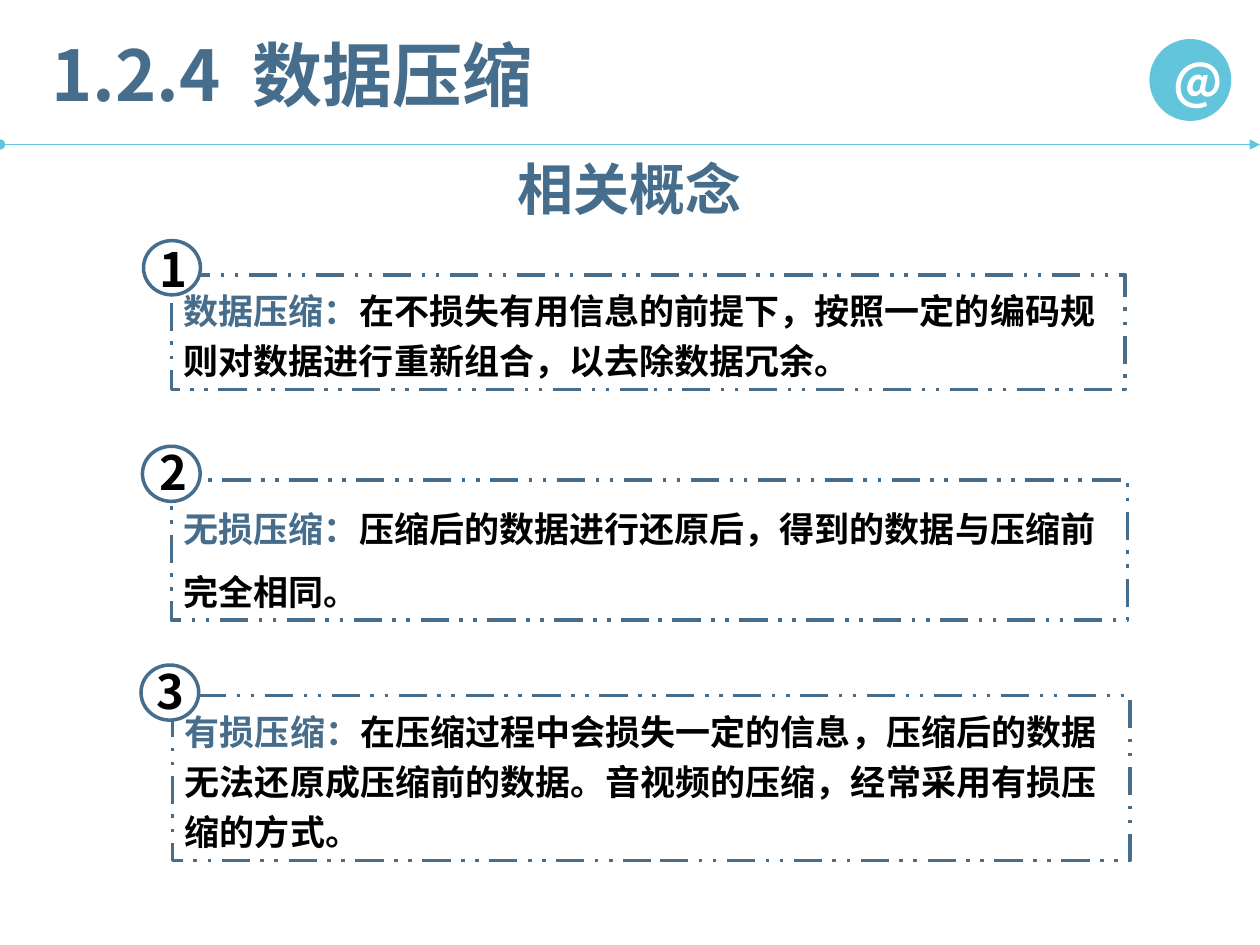
from dataclasses import dataclass

from lxml.etree import SubElement
from pptx import Presentation
from pptx.dml.color import RGBColor
from pptx.enum.dml import MSO_LINE
from pptx.enum.shapes import MSO_CONNECTOR, MSO_SHAPE
from pptx.enum.text import MSO_ANCHOR, MSO_AUTO_SIZE, PP_ALIGN
from pptx.oxml.ns import qn
from pptx.util import Pt

FONT = "Noto Sans CJK SC"
SLATE, CYAN, BLACK, WHITE = "466E8C", "62C5DC", "000000", "FFFFFF"


@dataclass
class Concept:
    box: tuple[float, float, float, float]
    badge: tuple[float, float, float, float]
    number_at: tuple[float, float]
    spacing: float
    term: str
    meaning: str


CONCEPTS = [
    Concept((97.9, 157, 545, 65.5), (82, 137.5, 32.5, 31), (84.2, 134), 1.2,
            "数据压缩：",
            "在不损失有用信息的前提下，按照一定的编码规则对数据进行重新组合，以去除数据冗余。"),
    Concept((97.9, 274.3, 546.5, 80), (81.4, 255, 33, 31.5), (84.2, 250), 1.5,
            "无损压缩：",
            "压缩后的数据进行还原后，得到的数据与压缩前完全相同。"),
    Concept((98.6, 397.4, 547.2, 94.3), (80.6, 380, 33, 31.5), (82.1, 375), 1.2,
            "有损压缩：",
            "在压缩过程中会损失一定的信息，压缩后的数据无法还原成压缩前的数据。"
            "音视频的压缩，经常采用有损压缩的方式。"),
]


def rgb(value: str) -> RGBColor:
    return RGBColor.from_string(value)


def set_font(font, size: float, color: str | None = None) -> None:
    font.name, font.size, font.bold = FONT, Pt(size), True
    if color:
        font.color.rgb = rgb(color)


def add_run(p, text: str, color: str):
    r = p.add_run()
    r.text = text
    r.font.color.rgb = rgb(color)
    return r


def add_shape(shapes, kind, at, fill: str | None = None, line: str | None = None):
    sp = shapes.add_shape(kind, *map(Pt, at))
    sp.shadow.inherit = False
    if fill:
        sp.fill.solid()
        sp.fill.fore_color.rgb = rgb(fill)
    else:
        sp.fill.background()
    if line:
        sp.line.color.rgb = rgb(line)
        sp.line.width = Pt(2)
    else:
        sp.line.fill.background()
    return sp


def add_text(shapes, at, text: str, size: float, color: str,
             align=PP_ALIGN.LEFT, wrap: bool = True, grow: bool = True):
    sp = shapes.add_textbox(*map(Pt, at))
    tf = sp.text_frame
    tf.word_wrap = wrap
    tf.auto_size = MSO_AUTO_SIZE.SHAPE_TO_FIT_TEXT if grow else MSO_AUTO_SIZE.NONE
    p = tf.paragraphs[0]
    p.text = text
    p.alignment = align
    set_font(p.font, size, color)
    return p


def add_concept(s, number: int, c: Concept) -> None:
    shapes = s.shapes.add_group_shape().shapes

    # Dashed box with term and meaning
    box = add_shape(shapes, MSO_SHAPE.RECTANGLE, c.box, line=SLATE)
    box.line.dash_style = MSO_LINE.DASH_DOT_DOT
    tf = box.text_frame
    tf.word_wrap = True
    tf.auto_size = MSO_AUTO_SIZE.SHAPE_TO_FIT_TEXT
    tf.vertical_anchor = MSO_ANCHOR.TOP
    p = tf.paragraphs[0]
    p.alignment = PP_ALIGN.LEFT
    p.line_spacing = c.spacing
    set_font(p.font, 20)
    add_run(p, c.term, SLATE)
    add_run(p, c.meaning, BLACK)

    # Numbered badge
    add_shape(shapes, MSO_SHAPE.OVAL, c.badge, WHITE, SLATE)
    add_text(shapes, (*c.number_at, 28, 39.6), str(number), 27, BLACK,
             PP_ALIGN.CENTER, wrap=False)


def add_rule(s, y: float) -> None:
    line = s.shapes.add_connector(MSO_CONNECTOR.STRAIGHT, Pt(0), Pt(y), Pt(720), Pt(y))
    line.line.color.rgb = rgb(CYAN)
    line.line.width = Pt(0.75)
    ln = line.line._get_or_add_ln()
    SubElement(ln, qn("a:headEnd"), type="oval")
    SubElement(ln, qn("a:tailEnd"), type="triangle")
    SubElement(line._element.spPr, qn("a:effectLst"))


def main() -> None:
    prs = Presentation()
    prs.slide_width, prs.slide_height = Pt(720), Pt(540)
    s = prs.slides.add_slide(prs.slide_layouts[6])

    # Header: the space after the section number is widened
    p = add_text(s.shapes, (22.3, 14.4, 469.4, 55.4), "1.2.4", 40, SLATE)
    gap = add_run(p, " ", SLATE)
    gap.font._element.set("spc", "900")
    add_run(p, "数据压缩", SLATE)
    add_rule(s, 82.6)

    # Round emblem
    emblem = add_shape(s.shapes, MSO_SHAPE.OVAL, (656.8, 22.3, 46.8, 46.8), CYAN)
    p = emblem.text_frame.paragraphs[0]
    p.text = "@"
    p.alignment = PP_ALIGN.CENTER
    set_font(p.font, 28, WHITE)

    # Subtitle
    p = add_text(s.shapes, (0, 89.3, 720, 44.6), "相关概念", 32, SLATE,
                 PP_ALIGN.CENTER, grow=False)
    p.line_spacing = 0.9

    # Numbered concepts
    for number, concept in enumerate(CONCEPTS, 1):
        add_concept(s, number, concept)

    prs.save("out.pptx")


if __name__ == "__main__":
    main()
